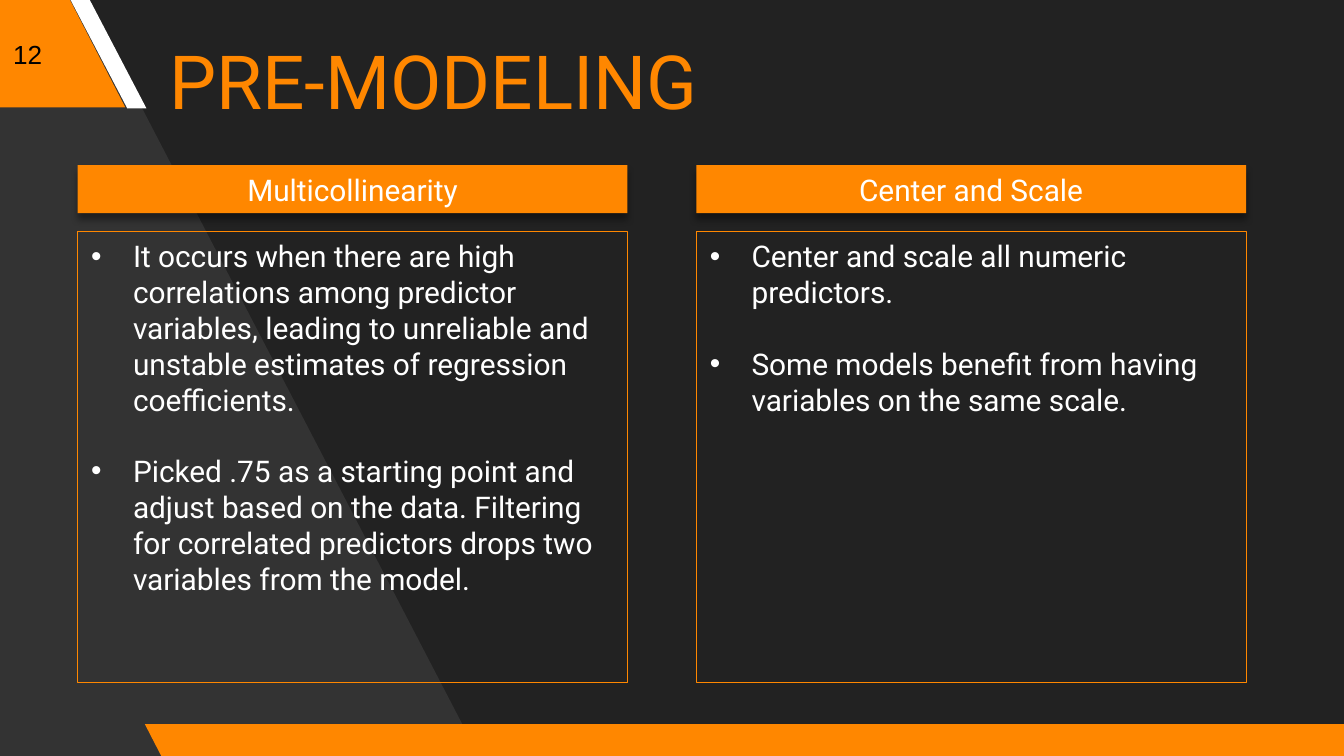
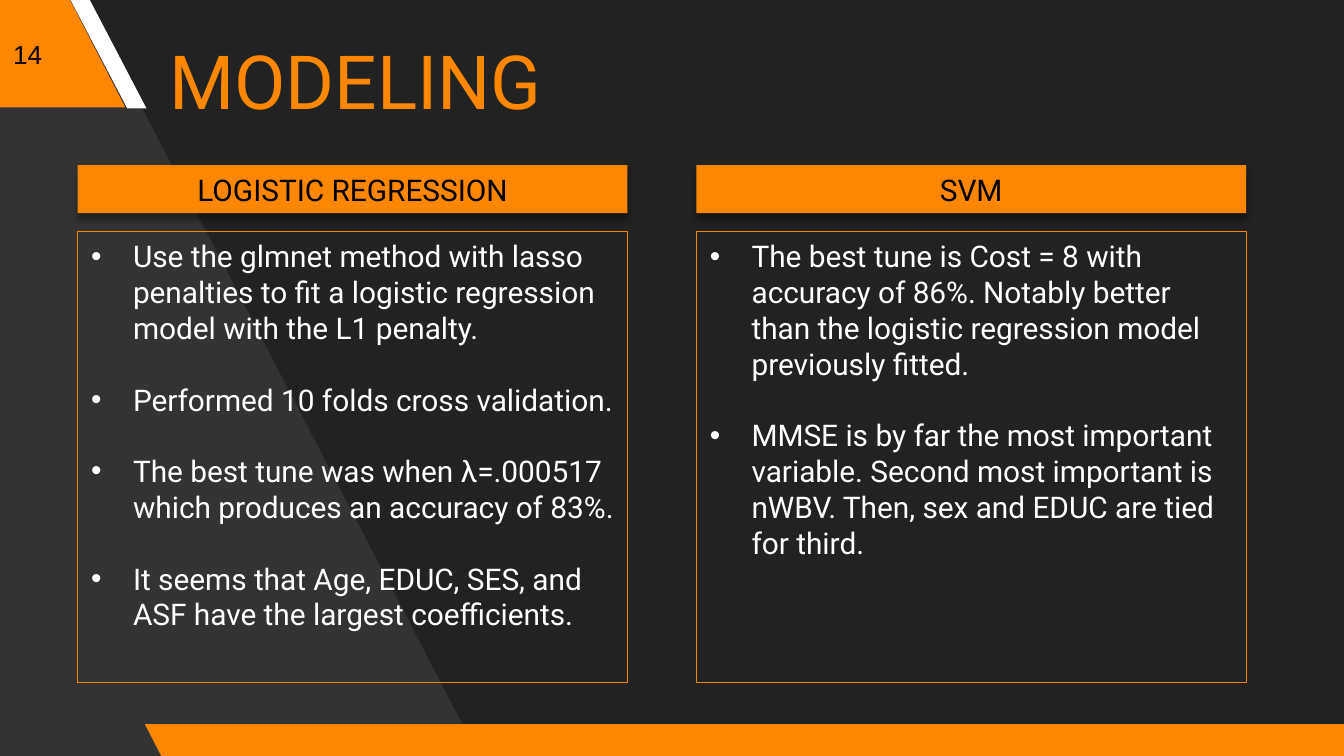
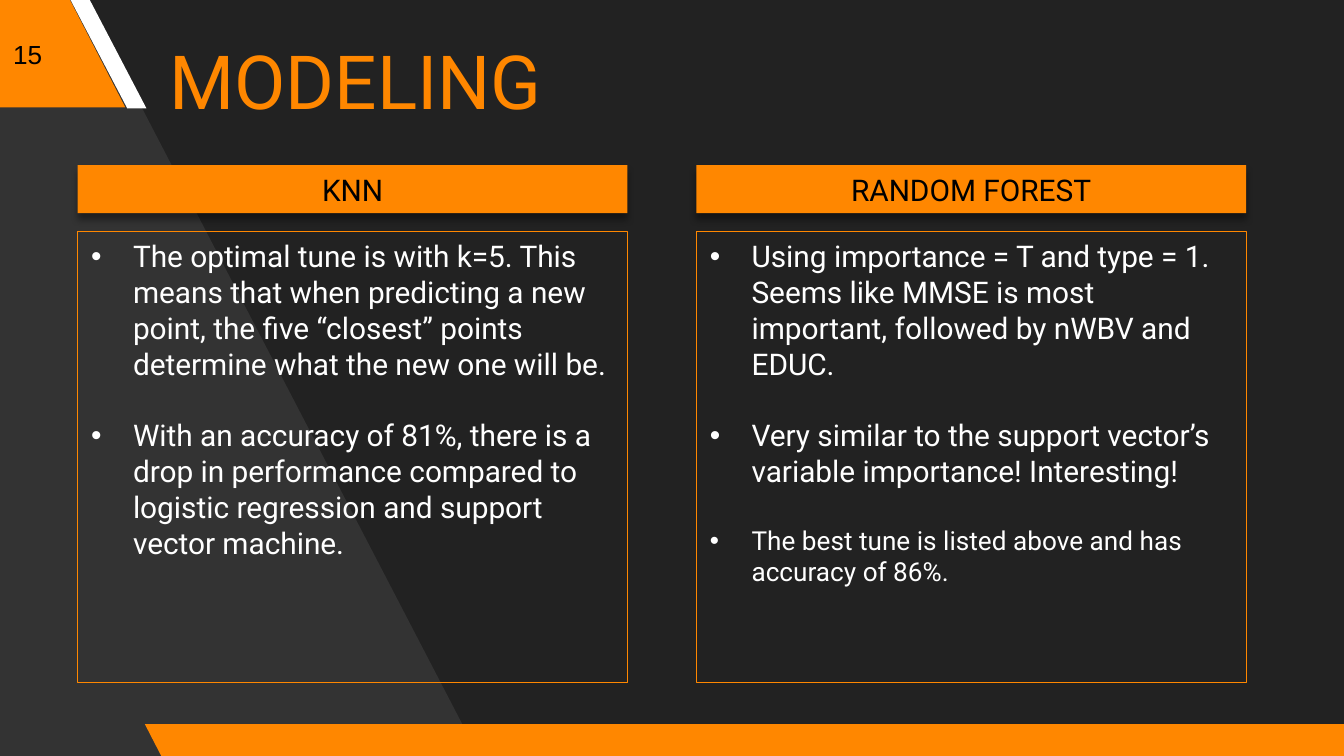
"""Build three slides on preparing and comparing classification models."""
import typing

import lxml.etree
import pptx
import pptx.dml.color
import pptx.enum.shapes
import pptx.enum.text
import pptx.oxml.ns
import pptx.util

ORANGE = pptx.dml.color.RGBColor(0xFF, 0x87, 0x00)
CHARCOAL = pptx.dml.color.RGBColor(0x22, 0x22, 0x22)
GREY = pptx.dml.color.RGBColor(0x33, 0x33, 0x33)
WHITE = pptx.dml.color.RGBColor(0xFF, 0xFF, 0xFF)
BLACK = pptx.dml.color.RGBColor(0x00, 0x00, 0x00)

Cm = pptx.util.Cm
Pt = pptx.util.Pt
qn = pptx.oxml.ns.qn
SHAPE = pptx.enum.shapes.MSO_SHAPE
ALIGN = pptx.enum.text.PP_ALIGN
ANCHOR = pptx.enum.text.MSO_ANCHOR

COLUMN_LEFT, COLUMN_PITCH, COLUMN_WIDTH = 1.47, 11.69, 10.39
HEADING_TOP, HEADING_HEIGHT = 3.12, 0.91
LIST_TOP, LIST_HEIGHT = 4.37, 8.53
HANGING_INDENT = Cm(0.79)


class Point(typing.NamedTuple):
    text: str
    size: int = 16


SLIDES = [
    (12, "PRE-MODELING", WHITE, [
        ("Multicollinearity", [
            Point("It occurs when there are high correlations among predictor variables, "
                  "leading to unreliable and unstable estimates of regression coefficients."),
            Point("Picked .75 as a starting point and adjust based on the data. Filtering "
                  "for correlated predictors drops two variables from the model."),
        ]),
        ("Center and Scale", [
            Point("Center and scale all numeric predictors."),
            Point("Some models benefit from having variables on the same scale."),
        ]),
    ]),
    (14, "MODELING", BLACK, [
        ("LOGISTIC REGRESSION", [
            Point("Use the glmnet method with lasso penalties to fit a logistic regression "
                  "model with the L1 penalty."),
            Point("Performed 10 folds cross validation."),
            Point("The best tune was when λ=.000517 which produces an accuracy of 83%."),
            Point("It seems that Age, EDUC, SES, and ASF have the largest coefficients."),
        ]),
        ("SVM", [
            Point("The best tune is Cost = 8 with accuracy of 86%. Notably better than the "
                  "logistic regression model previously fitted."),
            Point("MMSE is by far the most important variable. Second most important is "
                  "nWBV. Then, sex and EDUC are tied for third."),
        ]),
    ]),
    (15, "MODELING", BLACK, [
        ("KNN", [
            Point("The optimal tune is with k=5. This means that when predicting a new "
                  "point, the five “closest” points determine what the new one will be."),
            Point("With an accuracy of 81%, there is a drop in performance compared to "
                  "logistic regression and support vector machine."),
        ]),
        ("RANDOM FOREST", [
            Point("Using importance = T and type = 1. Seems like MMSE is most important, "
                  "followed by nWBV and EDUC."),
            Point("Very similar to the support vector’s variable importance! Interesting!"),
            Point("The best tune is listed above and has accuracy of 86%.", 14),
        ]),
    ]),
]


class Deck:
    def __init__(self):
        self.presentation = pptx.Presentation()
        self.presentation.slide_width = Cm(25.4)
        self.presentation.slide_height = Cm(14.29)
        background = self.presentation.slide_master.background.fill
        background.solid()
        background.fore_color.rgb = CHARCOAL
        self.layout = self.presentation.slide_layouts[3]
        for footer in list(self.layout.placeholders)[3:]:
            self.layout.shapes.element.remove(footer.element)
        self.slide = None

    def start_slide(self):
        self.slide = self.presentation.slides.add_slide(self.layout)
        if len(self.presentation.slides) == 1:
            self.move_backdrop_to_layout()

    def move_backdrop_to_layout(self):
        outline = [(Cm(x), Cm(y)) for x, y in
                   [(9.04, 14.27), (1.57, -0.1), (-0.15, -0.1), (-0.05, 14.38)]]
        builder = self.slide.shapes.build_freeform(*outline[0])
        builder.add_line_segments(outline[1:], close=True)
        panel = self.paint(builder.convert_to_shape(), GREY)
        backdrop = [
            panel,
            self.slant(-2.51, -0.05, 4.88, 2.08, 0.515, ORANGE),
            self.slant(1.32, -0.03, 1.45, 2.08, 0.75, WHITE),
            self.slant(2.74, 13.69, 23.24, 0.64, 0.515, ORANGE),
        ]
        for part in backdrop:
            self.layout.shapes.element.append(part.element)

    def paint(self, shape, colour):
        shape.shadow.inherit = False
        shape.fill.solid()
        shape.fill.fore_color.rgb = colour
        shape.line.fill.background()
        return shape

    def add(self, kind, left, top, width, height):
        return self.slide.shapes.add_shape(kind, Cm(left), Cm(top), Cm(width), Cm(height))

    def slant(self, left, top, width, height, slope, colour):
        band = self.paint(self.add(SHAPE.PARALLELOGRAM, left, top, width, height), colour)
        band.adjustments[0] = slope
        band.element.spPr.find(qn("a:xfrm")).set("flipH", "1")
        return band

    def place(self, placeholder, left, top, width, height, anchor):
        placeholder.left, placeholder.top = Cm(left), Cm(top)
        placeholder.width, placeholder.height = Cm(width), Cm(height)
        frame = placeholder.text_frame
        frame.word_wrap = True
        frame.auto_size = pptx.enum.text.MSO_AUTO_SIZE.NONE
        frame.vertical_anchor = anchor
        return frame

    def letter(self, paragraph, text, size, colour, align=ALIGN.LEFT, font="Roboto"):
        paragraph.text = text
        paragraph.alignment = align
        paragraph.font.name = font
        paragraph.font.size = Pt(size)
        paragraph.font.color.rgb = colour

    def title(self, text):
        frame = self.place(self.slide.shapes.title, 2.59, 0, 22.43, 3, ANCHOR.MIDDLE)
        frame.margin_left = Cm(0.61)
        self.letter(frame.paragraphs[0], text, 40, ORANGE)

    def page_number(self, number):
        corner = self.slide.shapes.add_textbox(Cm(0), Cm(0), Cm(1.65), Cm(2.03))
        frame = corner.text_frame
        frame.word_wrap = True
        frame.vertical_anchor = ANCHOR.MIDDLE
        self.letter(frame.paragraphs[0], str(number), 14, BLACK, font="Arial")

    def heading(self, left, text, ink):
        bar = self.paint(
            self.add(SHAPE.RECTANGLE, left, HEADING_TOP, COLUMN_WIDTH, HEADING_HEIGHT), ORANGE)
        effects = bar.element.spPr.find(qn("a:effectLst"))
        shadow = lxml.etree.SubElement(
            effects, qn("a:outerShdw"), blurRad=str(Pt(4)), dist=str(Pt(3)),
            dir="5400000", rotWithShape="0")
        tint = lxml.etree.SubElement(shadow, qn("a:srgbClr"), val=str(BLACK))
        lxml.etree.SubElement(tint, qn("a:alpha"), val="40000")
        bar.text_frame.vertical_anchor = ANCHOR.MIDDLE
        self.letter(bar.text_frame.paragraphs[0], text, 16, ink, ALIGN.CENTER)

    def border(self, left):
        box = self.add(SHAPE.RECTANGLE, left, LIST_TOP, COLUMN_WIDTH, LIST_HEIGHT)
        box.shadow.inherit = False
        box.fill.background()
        box.line.color.rgb = ORANGE
        box.line.width = Pt(0.25)

    def bullets(self, placeholder, left, points):
        frame = self.place(placeholder, left, LIST_TOP, COLUMN_WIDTH, LIST_HEIGHT, ANCHOR.TOP)
        for index, point in enumerate(points):
            paragraph = frame.add_paragraph() if index else frame.paragraphs[0]
            properties = paragraph._p.get_or_add_pPr()
            properties.set("marL", str(HANGING_INDENT))
            properties.set("indent", str(-HANGING_INDENT))
            lxml.etree.SubElement(properties, qn("a:buFont"), typeface="Arial")
            lxml.etree.SubElement(properties, qn("a:buChar"), char="•")
            paragraph.space_before = Pt(19.2 if index else 0)
            self.letter(paragraph, point.text, point.size, WHITE)


def main():
    deck = Deck()
    for number, title, ink, columns in SLIDES:
        deck.start_slide()
        deck.title(title)
        deck.page_number(number)
        for index, (heading, points) in enumerate(columns):
            left = COLUMN_LEFT + index * COLUMN_PITCH
            deck.heading(left, heading, ink)
            deck.border(left)
            deck.bullets(deck.slide.placeholders[index + 1], left, points)
    deck.presentation.save("out.pptx")


if __name__ == "__main__":
    main()
